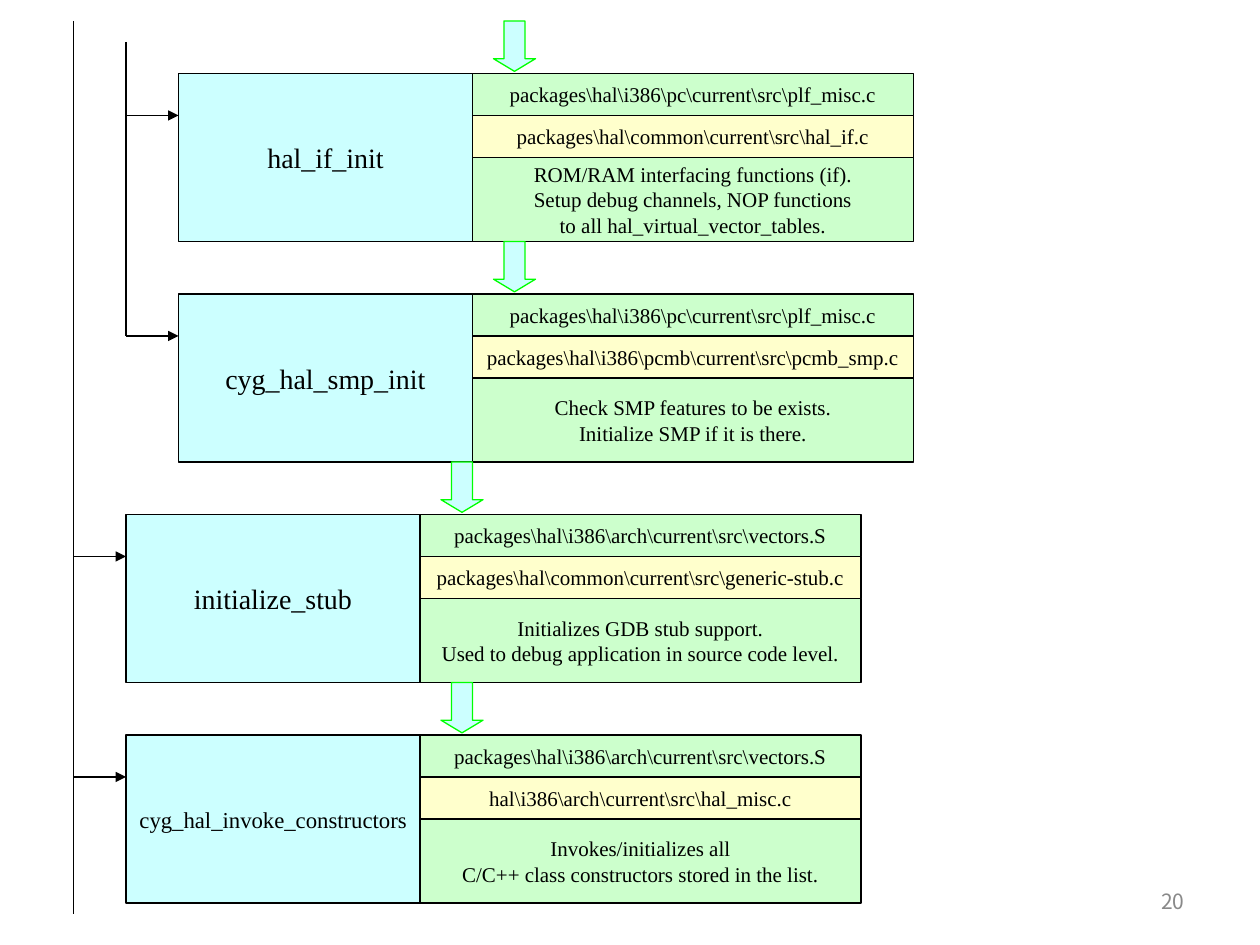
from pptx import Presentation
from pptx.dml.color import RGBColor
from pptx.enum.shapes import MSO_CONNECTOR, MSO_SHAPE
from pptx.enum.text import MSO_ANCHOR, PP_ALIGN
from pptx.oxml.ns import qn
from pptx.util import Inches, Pt
from lxml.etree import SubElement

BLACK, CYAN, GREEN, YELLOW, LIME, GREY = (
    "000000", "CCFFFF", "CCFFCC", "FFFFCC", "00FF00", "898989")
NAME_WIDTH, DETAIL_WIDTH, ROW = 28, 42, 4
FIRST_TOP, BLOCK_STEP = 7, 21
OUTER_TRUNK, INNER_TRUNK, INDENT = 7, 12, 5

# trunk, function name, name size, declaring file, source file, description
BLOCKS = [
    (INNER_TRUNK, "hal_if_init", 16,
     r"packages\hal\i386\pc\current\src\plf_misc.c",
     r"packages\hal\common\current\src\hal_if.c",
     ["ROM/RAM interfacing functions (if).",
      "Setup debug channels, NOP functions",
      "to all hal_virtual_vector_tables."]),
    (INNER_TRUNK, "cyg_hal_smp_init", 16,
     r"packages\hal\i386\pc\current\src\plf_misc.c",
     r"packages\hal\i386\pcmb\current\src\pcmb_smp.c",
     ["Check SMP features to be exists.", "Initialize SMP if it is there."]),
    (OUTER_TRUNK, "initialize_stub", 16,
     r"packages\hal\i386\arch\current\src\vectors.S",
     r"packages\hal\common\current\src\generic-stub.c",
     ["Initializes GDB stub support.",
      "Used to debug application in source code level."]),
    (OUTER_TRUNK, "cyg_hal_invoke_constructors", 13,
     r"packages\hal\i386\arch\current\src\vectors.S",
     r"hal\i386\arch\current\src\hal_misc.c",
     ["Invokes/initializes all",
      "C/C++ class constructors stored in the list."]),
]


def color(value):
    return RGBColor.from_string(value)


def grid(steps):
    """Turn grid steps, twelve to the inch, into a length."""
    return Inches(steps / 12)


class CallChart:
    font = "Times New Roman"
    line_width = Pt(0.75)

    def __init__(self, page):
        self.page = page

    def add_text(self, frame, lines, size, align=PP_ALIGN.CENTER, font=font, ink=BLACK):
        frame.word_wrap = False
        frame.vertical_anchor = MSO_ANCHOR.MIDDLE
        for index, line in enumerate(lines):
            para = frame.paragraphs[0] if index == 0 else frame.add_paragraph()
            para.alignment = align
            span = para.add_run()
            span.text = line
            span.font.size = Pt(size)
            span.font.name = font
            span.font.color.rgb = color(ink)

    def shape(self, kind, left, top, width, height, fill, line):
        shape = self.page.shapes.add_shape(
            kind, grid(left), grid(top), grid(width), grid(height))
        shape.shadow.inherit = False
        shape.fill.solid()
        shape.fill.fore_color.rgb = color(fill)
        shape.line.color.rgb = color(line)
        shape.line.width = self.line_width
        return shape

    def box(self, left, top, width, height, fill, lines, size=12):
        box = self.shape(MSO_SHAPE.RECTANGLE, left, top, width, height, fill, BLACK)
        self.add_text(box.text_frame, lines, size)

    def flow_arrow(self, left, top):
        arrow = self.shape(MSO_SHAPE.DOWN_ARROW, left, top, 4, 4.8, CYAN, LIME)
        arrow.adjustments[0] = 0.5
        arrow.adjustments[1] = 0.3

    def line(self, left, top, right, bottom, arrowhead=False):
        line = self.page.shapes.add_connector(
            MSO_CONNECTOR.STRAIGHT, grid(left), grid(top), grid(right), grid(bottom))
        line.line.color.rgb = color(BLACK)
        line.line.width = self.line_width
        properties = line.element.spPr
        if arrowhead:
            SubElement(properties.find(qn("a:ln")), qn("a:tailEnd"), type="triangle")
        SubElement(properties, qn("a:effectLst"))

    def block(self, top, trunk, name, name_size, declared_in, source, description):
        left = trunk + INDENT
        detail_left = left + NAME_WIDTH
        self.line(trunk, top + ROW, left, top + ROW, arrowhead=True)
        self.box(left, top, NAME_WIDTH, 4 * ROW, CYAN, [name], name_size)
        self.box(detail_left, top + 2 * ROW, DETAIL_WIDTH, 2 * ROW, GREEN, description)
        self.box(detail_left, top, DETAIL_WIDTH, ROW, GREEN, [declared_in])
        self.box(detail_left, top + ROW, DETAIL_WIDTH, ROW, YELLOW, [source])
        self.flow_arrow(detail_left + 2, top - 5)

    def page_number(self, number):
        box = self.page.shapes.add_textbox(
            Inches(7.17), Inches(6.95), Inches(2.33), Inches(0.4))
        self.add_text(box.text_frame, [number], 12, PP_ALIGN.RIGHT,
                      "Noto Sans CJK KR", GREY)
        box.text_frame.word_wrap = True


def main():
    deck = Presentation()
    deck.slide_width, deck.slide_height = Inches(10), Inches(7.5)
    chart = CallChart(deck.slides.add_slide(deck.slide_layouts[6]))
    chart.page_number("20")
    chart.line(OUTER_TRUNK, 2, OUTER_TRUNK, 87)
    chart.line(INNER_TRUNK, 4, INNER_TRUNK, 32)
    for index, block in enumerate(BLOCKS):
        chart.block(FIRST_TOP + index * BLOCK_STEP, *block)
    deck.save("out.pptx")


if __name__ == "__main__":
    main()
